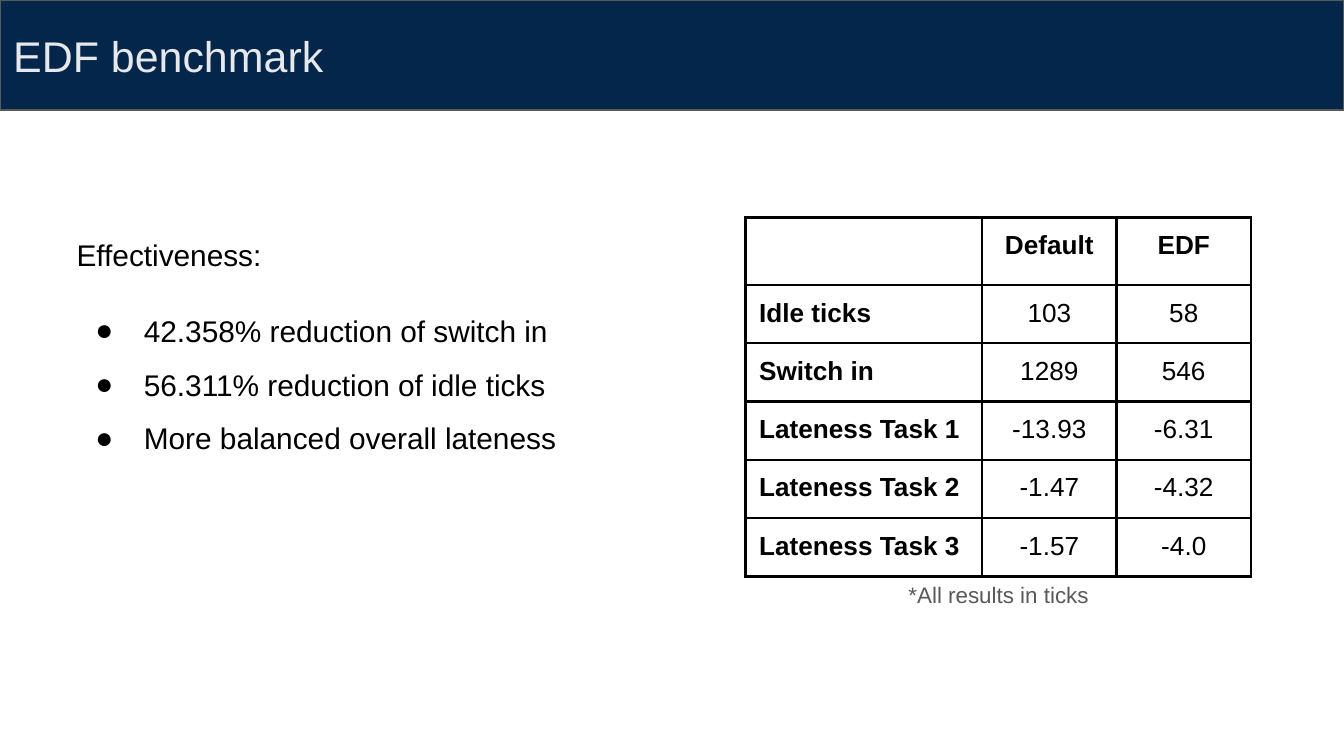
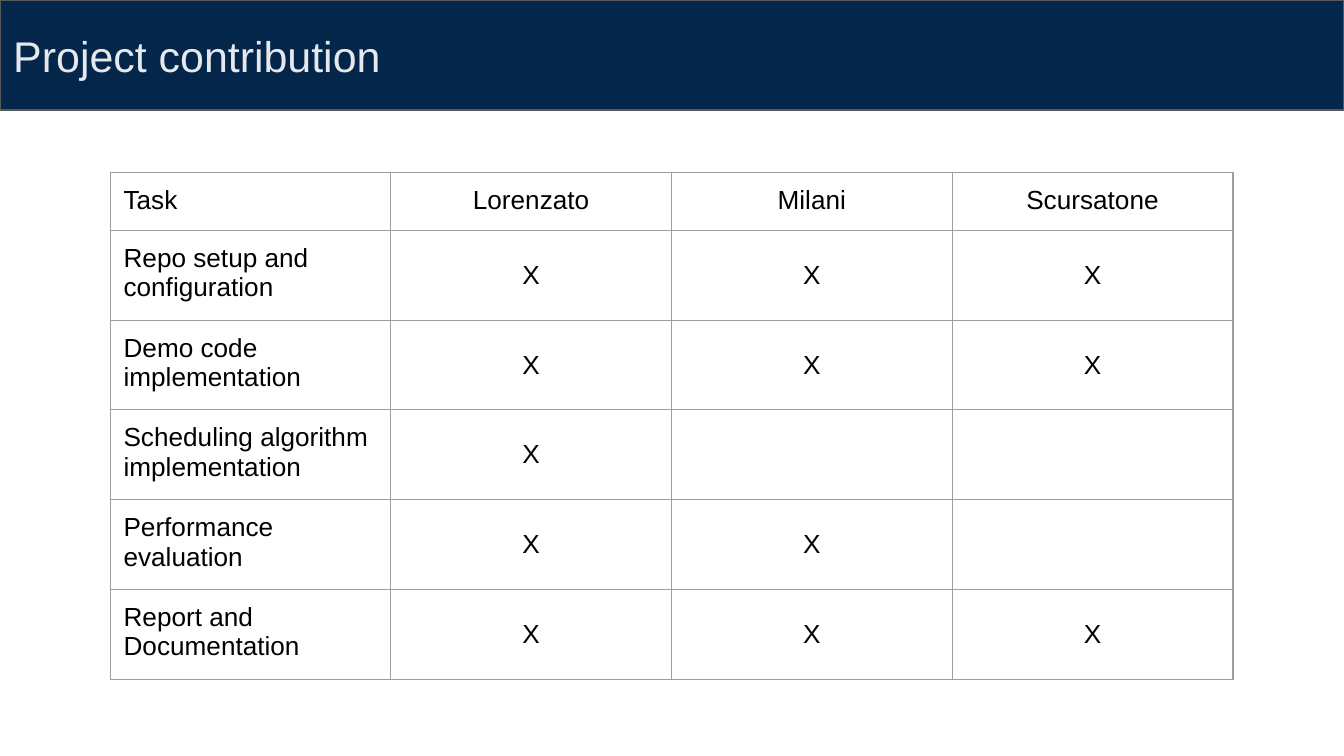
from dataclasses import dataclass
from typing import Any

from lxml.etree import SubElement
from pptx import Presentation
from pptx.dml.color import RGBColor
from pptx.enum.shapes import MSO_SHAPE
from pptx.enum.text import MSO_ANCHOR, PP_ALIGN
from pptx.oxml.ns import qn
from pptx.slide import Slide
from pptx.util import Length, Pt

NAVY = RGBColor(0x04, 0x26, 0x4B)
MIST = RGBColor(0xE6, 0xE8, 0xEB)
SLATE = RGBColor(0x59, 0x59, 0x59)
SILVER = RGBColor(0x9E, 0x9E, 0x9E)
BLACK = RGBColor(0, 0, 0)

FONT = "Arial"
PAGE_WIDTH = Pt(720)
PAGE_HEIGHT = Pt(405)
BAND_HEIGHT = Pt(59)
INSET = Pt(7.2)
MARGINS = {f"margin_{side}": INSET for side in ("left", "top", "right", "bottom")}


@dataclass(frozen=True)
class Frame:
    left: Length
    top: Length
    width: Length
    height: Length


@dataclass(frozen=True)
class Line:
    text: str
    size: float
    color: RGBColor = BLACK
    spacing: float = 1.0
    before: float = 0
    align: PP_ALIGN = PP_ALIGN.LEFT
    bold: bool = False
    bullet: bool = False


@dataclass(frozen=True)
class Grid:
    left: Length
    top: Length
    columns: list[Length]
    heights: list[Length]
    rows: list[list[str]]
    border: RGBColor
    border_width: Length
    bold_labels: bool = False
    body_anchor: MSO_ANCHOR = MSO_ANCHOR.TOP


TITLE_FRAME = Frame(Pt(0), Pt(7.2), Pt(671), Pt(45.4))


def apply(target: Any, values: dict[str, Any]) -> None:
    for name, value in values.items():
        setattr(target, name, value)


def add_bullet(para: Any) -> None:
    properties = para._p.get_or_add_pPr()
    properties.set("marL", str(Pt(36)))
    properties.set("indent", str(-Pt(26)))
    color = SubElement(properties, qn("a:buClr"))
    SubElement(color, qn("a:srgbClr"), val=str(BLACK))
    SubElement(properties, qn("a:buFont"), typeface=FONT)
    SubElement(properties, qn("a:buChar"), char="●")


def write_line(para: Any, line: Line) -> None:
    if line.bullet:
        add_bullet(para)
    apply(para, {"alignment": line.align, "line_spacing": line.spacing,
                 "space_before": Pt(line.before)})
    if line.text:
        span = para.add_run()
        span.text = line.text
        apply(span.font, {"name": FONT, "size": Pt(line.size), "bold": line.bold})
        span.font.color.rgb = line.color


def add_text(page: Slide, frame: Frame, lines: list[Line],
             anchor: MSO_ANCHOR = MSO_ANCHOR.TOP) -> None:
    box = page.shapes.add_textbox(frame.left, frame.top, frame.width, frame.height)
    body = box.text_frame
    apply(body, {"word_wrap": True, "vertical_anchor": anchor, **MARGINS})
    for index, line in enumerate(lines):
        write_line(body.add_paragraph() if index else body.paragraphs[0], line)


def add_page(deck: Any, title: str) -> Slide:
    page = deck.slides.add_slide(deck.slide_layouts[6])
    band = page.shapes.add_shape(MSO_SHAPE.RECTANGLE, Pt(0), Pt(0), PAGE_WIDTH, BAND_HEIGHT)
    band.shadow.inherit = False
    band.fill.solid()
    band.fill.fore_color.rgb = NAVY
    band.line.color.rgb = SLATE
    band.line.width = Pt(0.75)
    add_text(page, TITLE_FRAME, [Line(title, 23, MIST)], MSO_ANCHOR.MIDDLE)
    return page


def add_borders(cell: Any, color: RGBColor, width: Length) -> None:
    properties = cell._tc.get_or_add_tcPr()
    for side in ("L", "R", "T", "B"):
        edge = SubElement(properties, qn(f"a:ln{side}"), w=str(width))
        fill = SubElement(edge, qn("a:solidFill"))
        SubElement(fill, qn("a:srgbClr"), val=str(color))


def add_grid(page: Slide, grid: Grid) -> None:
    table = page.shapes.add_table(len(grid.rows), len(grid.columns), grid.left, grid.top,
                                  Pt(sum(width.pt for width in grid.columns)),
                                  Pt(sum(height.pt for height in grid.heights))).table
    apply(table, {"first_row": False, "horz_banding": False})
    for column, width in zip(table.columns, grid.columns):
        column.width = width
    for row, height in zip(table.rows, grid.heights):
        row.height = height
    for row_index, texts in enumerate(grid.rows):
        for column_index, text in enumerate(texts):
            cell = table.cell(row_index, column_index)
            is_label = row_index == 0 or column_index == 0
            anchor = MSO_ANCHOR.TOP if is_label else grid.body_anchor
            apply(cell, {"vertical_anchor": anchor, **MARGINS})
            add_borders(cell, grid.border, grid.border_width)
            cell.fill.background()
            align = PP_ALIGN.CENTER if column_index else PP_ALIGN.LEFT
            write_line(cell.text_frame.paragraphs[0],
                       Line(text, 14, align=align, bold=is_label and grid.bold_labels))


def build_benchmark(deck: Any) -> None:
    page = add_page(deck, "EDF benchmark")
    findings = ["42.358% reduction of switch in", "56.311% reduction of idle ticks",
                "More balanced overall lateness"]
    lines = [Line("Effectiveness:", 16, spacing=1.15)]
    lines += [Line(finding, 16, spacing=1.5, before=0 if index else 12, bullet=True)
              for index, finding in enumerate(findings)]
    add_text(page, Frame(Pt(34), Pt(116.6), Pt(375), Pt(290)), lines)
    results = [
        ["", "Default", "EDF"],
        ["Idle ticks", "103", "58"],
        ["Switch in", "1289", "546"],
        ["Lateness Task 1", "-13.93", "-6.31"],
        ["Lateness Task 2", "-1.47", "-4.32"],
        ["Lateness Task 3", "-1.57", "-4.0"],
    ]
    add_grid(page, Grid(Pt(399.5), Pt(116.6), [Pt(126.7), Pt(72), Pt(72)],
                        [Pt(28.8)] * len(results), results, BLACK, Pt(1.5),
                        bold_labels=True))
    add_text(page, Frame(Pt(401.5), Pt(304), Pt(267), Pt(36.7)),
             [Line("*All results in ticks", 12, SLATE, align=PP_ALIGN.CENTER)])


def build_contribution(deck: Any) -> None:
    page = add_page(deck, "Project contribution")
    members = ["Lorenzato", "Milani", "Scursatone"]
    contributors = {
        "Repo setup and configuration": members,
        "Demo code implementation": members,
        "Scheduling algorithm implementation": members[:1],
        "Performance evaluation": members[:2],
        "Report and Documentation": members,
    }
    rows = [["Task", *members]]
    rows += [[task, *("X" if member in active else "" for member in members)]
             for task, active in contributors.items()]
    heights = [Pt(48.2) if row[0] == "Performance evaluation" else Pt(30) for row in rows]
    add_grid(page, Grid(Pt(59), Pt(92.2), [Pt(150.4)] * len(rows[0]), heights, rows,
                        SILVER, Pt(0.75), body_anchor=MSO_ANCHOR.MIDDLE))


def main() -> None:
    deck = Presentation()
    apply(deck, {"slide_width": PAGE_WIDTH, "slide_height": PAGE_HEIGHT})
    build_benchmark(deck)
    build_contribution(deck)
    deck.save("out.pptx")


if __name__ == "__main__":
    main()
